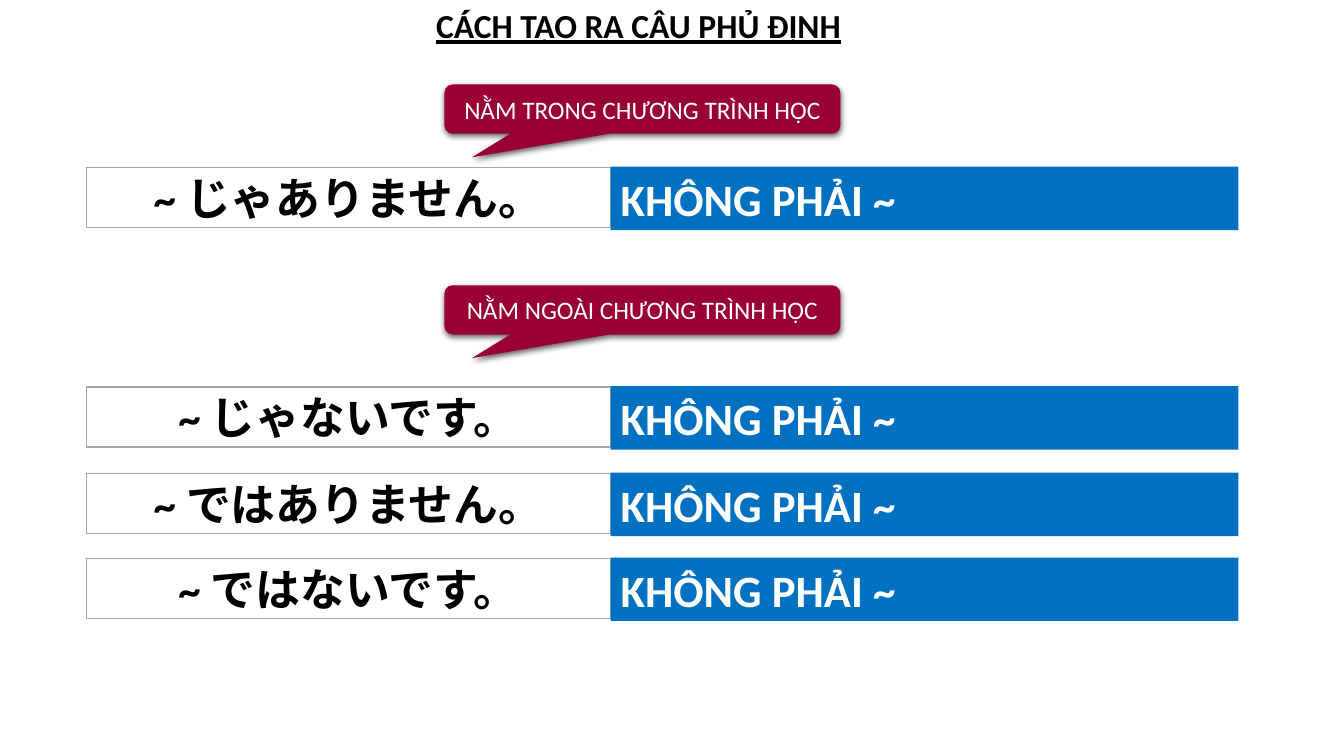
from dataclasses import dataclass

from lxml import etree
from pptx import Presentation
from pptx.dml.color import RGBColor
from pptx.enum import shapes, text
from pptx.oxml import ns
from pptx.util import Cm, Pt

FONT = "Calibri"
COLORS = {
    "white": "FFFFFF",
    "black": "000000",
    "border": "A5A5A5",
    "blue": "0070C0",
    "crimson": "990033",
}
MEANING = "KHÔNG PHẢI ~"


@dataclass(frozen=True)
class Box:
    """Position and size in centimetres."""
    left: float
    top: float
    width: float
    height: float


@dataclass(frozen=True)
class PhraseRow:
    japanese: str
    top: float


@dataclass(frozen=True)
class Callout:
    label: str
    top: float


PHRASE_ROWS = [
    PhraseRow("~ じゃありません。", 4.22),
    PhraseRow("~ じゃないです。", 9.75),
    PhraseRow("~ ではありません。", 11.93),
    PhraseRow("~ ではないです。", 14.07),
]
CALLOUTS = [
    Callout("NẰM TRONG CHƯƠNG TRÌNH HỌC", 2.13),
    Callout("NẰM NGOÀI CHƯƠNG TRÌNH HỌC", 7.19),
]


def rgb(name: str) -> RGBColor:
    return RGBColor.from_string(COLORS[name])


def lengths(box: Box) -> tuple:
    return Cm(box.left), Cm(box.top), Cm(box.width), Cm(box.height)


def write_text(shape, content: str, *, size: float, color: str, bold: bool = False,
               underline: bool = False, align=text.PP_ALIGN.LEFT,
               anchor=text.MSO_ANCHOR.MIDDLE) -> None:
    frame = shape.text_frame
    frame.word_wrap = True
    frame.vertical_anchor = anchor
    paragraph = frame.paragraphs[0]
    paragraph.alignment = align
    run = paragraph.add_run()
    run.text = content
    run.font.name = FONT
    run.font.size = Pt(size)
    run.font.bold = bold
    run.font.underline = underline
    run.font.color.rgb = rgb(color)


def add_filled_shape(slide, kind, box: Box, fill: str, line: str | None = None):
    shape = slide.shapes.add_shape(kind, *lengths(box))
    shape.shadow.inherit = False
    shape.fill.solid()
    shape.fill.fore_color.rgb = rgb(fill)
    if line:
        shape.line.color.rgb = rgb(line)
        shape.line.width = Pt(1)
    else:
        shape.line.fill.background()
    return shape


def add_drop_shadow(shape) -> None:
    effects = shape._element.spPr.find(ns.qn("a:effectLst"))
    shadow = etree.SubElement(effects, ns.qn("a:outerShdw"), blurRad=str(Pt(4.5)),
                              dist=str(Pt(1.5)), dir="5400000", rotWithShape="0")
    color = etree.SubElement(shadow, ns.qn("a:srgbClr"), val=COLORS["black"])
    etree.SubElement(color, ns.qn("a:alpha"), val="63000")


def add_phrase_row(slide, row: PhraseRow) -> None:
    rectangle = shapes.MSO_SHAPE.RECTANGLE
    phrase = add_filled_shape(slide, rectangle, Box(2.18, row.top, 13.21, 1.52),
                              "white", "border")
    write_text(phrase, row.japanese, size=32, color="black", bold=True,
               align=text.PP_ALIGN.CENTER)
    meaning = add_filled_shape(slide, rectangle, Box(15.39, row.top - 0.02, 15.82, 1.6),
                               "blue")
    write_text(meaning, MEANING, size=32, color="white", bold=True)


def add_callout(slide, callout: Callout) -> None:
    shape = add_filled_shape(slide, shapes.MSO_SHAPE.ROUNDED_RECTANGULAR_CALLOUT,
                             Box(11.2, callout.top, 9.98, 1.24), "crimson")
    for index, value in enumerate((-0.43, 0.98, 0.17)):
        shape.adjustments[index] = value
    add_drop_shadow(shape)
    write_text(shape, callout.label, size=18, color="white", align=text.PP_ALIGN.CENTER)


def add_title(slide) -> None:
    title = slide.shapes.add_textbox(*lengths(Box(10.74, 0, 14.71, 1.28)))
    write_text(title, "CÁCH TẠO RA CÂU PHỦ ĐỊNH", size=24, color="black", bold=True,
               underline=True, anchor=text.MSO_ANCHOR.TOP)
    title.text_frame.auto_size = text.MSO_AUTO_SIZE.SHAPE_TO_FIT_TEXT


def main() -> None:
    presentation = Presentation()
    presentation.slide_width = Cm(33.87)
    presentation.slide_height = Cm(19.05)
    slide = presentation.slides.add_slide(presentation.slide_layouts[6])
    for row in PHRASE_ROWS:
        add_phrase_row(slide, row)
    for callout in CALLOUTS:
        add_callout(slide, callout)
    add_title(slide)
    presentation.save("out.pptx")


if __name__ == "__main__":
    main()
